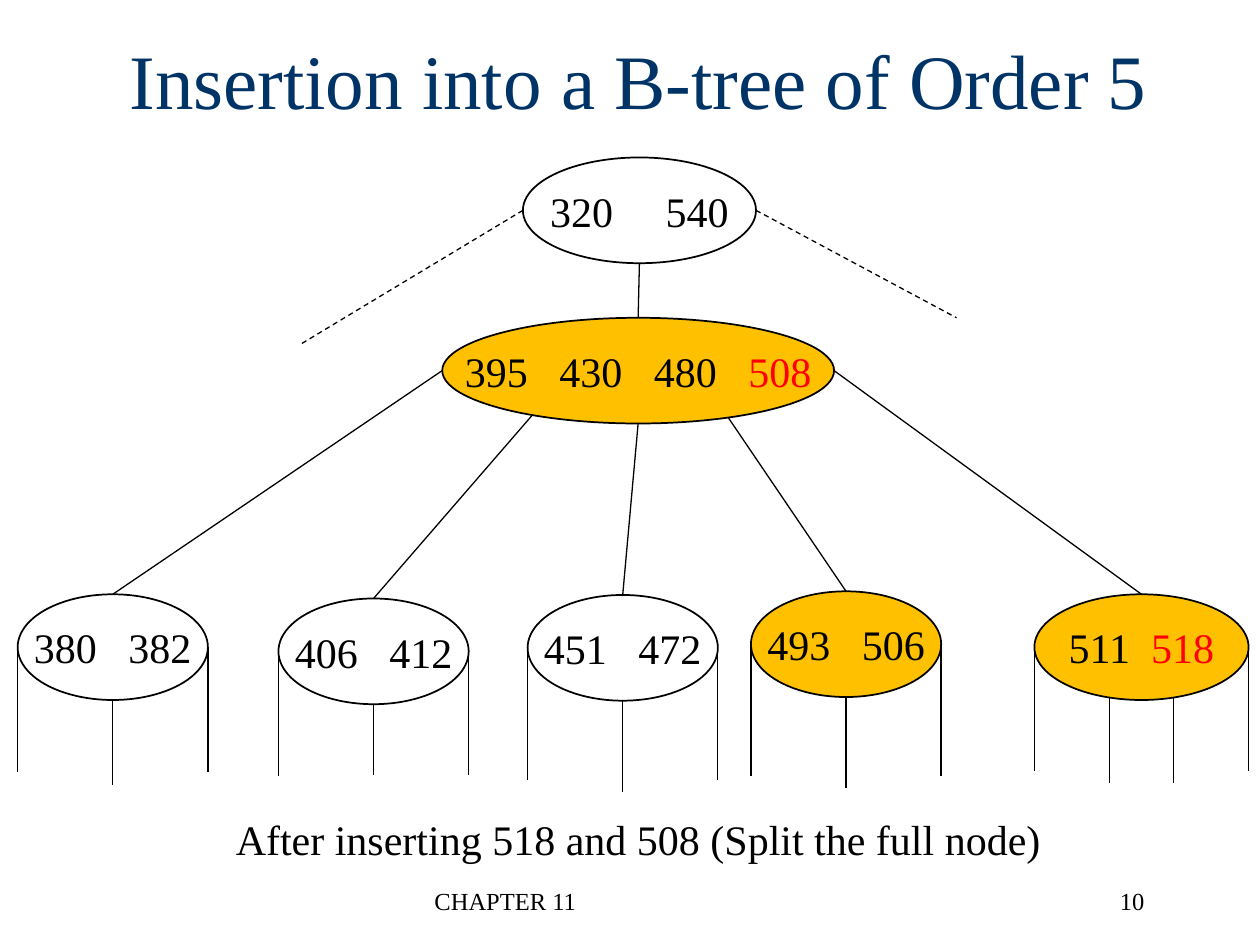
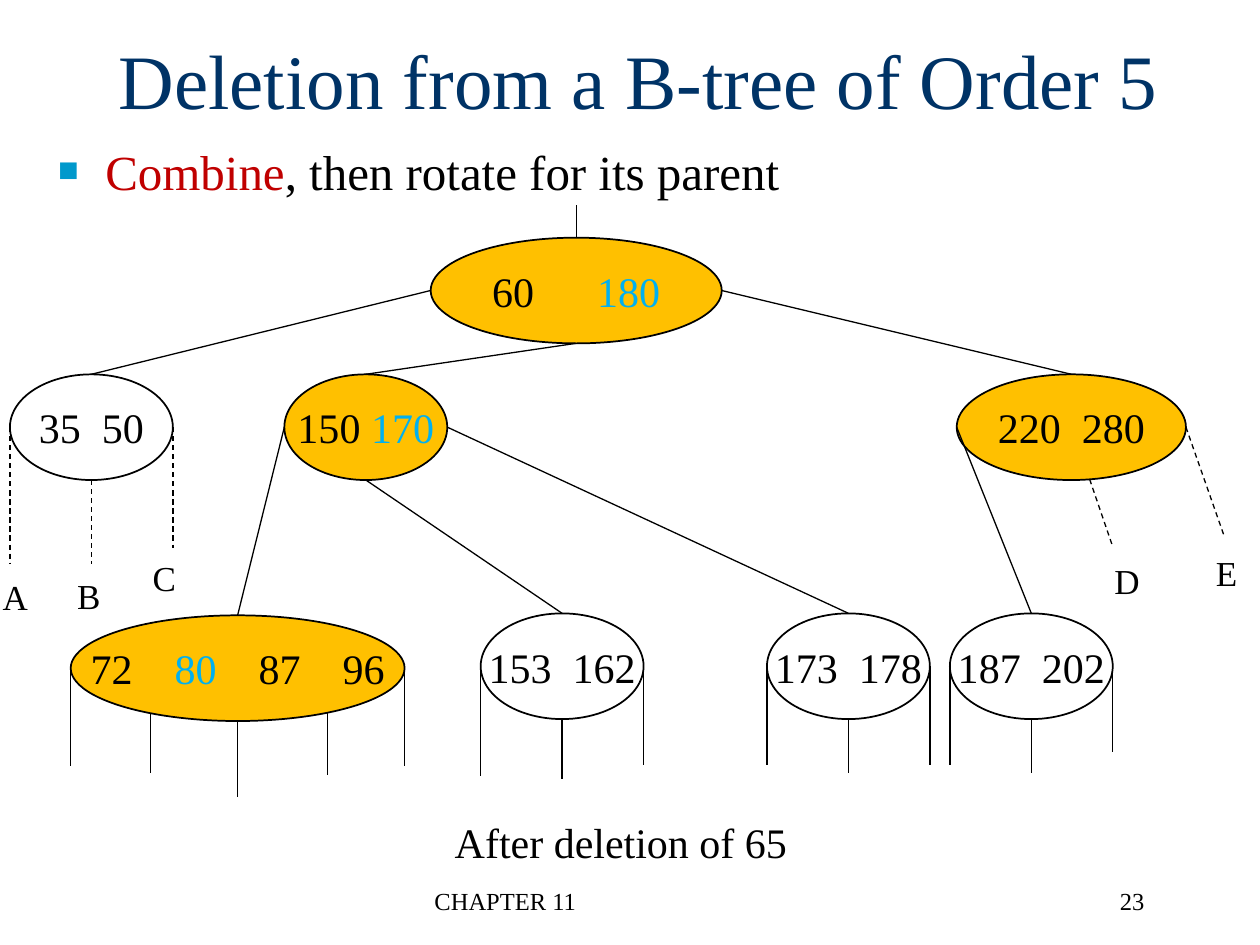
import math
from dataclasses import dataclass, field

import lxml.etree
import pptx
import pptx.dml.color
import pptx.enum.dml
import pptx.enum.shapes
import pptx.enum.text
import pptx.oxml.ns
import pptx.util

Pt = pptx.util.Pt
qn = pptx.oxml.ns.qn
PP_ALIGN = pptx.enum.text.PP_ALIGN
ANCHOR = pptx.enum.text.MSO_ANCHOR

FONT = "Times New Roman"
COLORS = {
    "title": "003366",
    "ink": "000000",
    "paper": "FFFFFF",
    "changed": "FFC000",
    "inserted": "FF0000",
    "moved": "00B0F0",
    "accent": "C00000",
    "bullet": "0099CC",
}
NODE_H = 60.4
KEY_SIZE = 24
SPACE_W = 6
STUB_SPREAD = {
    3: (0, 0.5, 1),
    4: (0, 0.35, 0.65, 1),
    5: (0, 0.24, 0.5, 0.77, 1),
}


@dataclass
class Node:
    keys: str
    x: float
    y: float
    w: float
    gap: float = 18
    fill: str = "paper"
    marked: dict = field(default_factory=dict)
    stubs: tuple = ()
    dash: bool = False

    @property
    def name(self) -> str:
        return self.keys.split()[0]

    def rim(self, share: float) -> tuple:
        drop = math.sqrt(1 - (2 * share - 1) ** 2)
        return self.x + share * self.w, self.y + NODE_H / 2 * (1 + drop)

    @property
    def top(self) -> tuple:
        return self.x + self.w / 2, self.y


@dataclass
class Edge:
    parent: str
    share: float
    child: str


@dataclass
class LooseEnd:
    parent: str
    share: float
    x: float
    y: float


@dataclass
class Label:
    text: str
    x: float
    y: float
    w: float
    h: float = 36
    size: float = 24
    align: PP_ALIGN = PP_ALIGN.CENTER


def rgb(name: str):
    return pptx.dml.color.RGBColor.from_string(COLORS[name])


def add_run(p, text: str, size: float, color: str = "ink"):
    r = p.add_run()
    r.text = text
    r.font.size = Pt(size)
    r.font.name = FONT
    r.font.color.rgb = rgb(color)
    return r


def place(sp, x: float, y: float, w: float, h: float) -> None:
    sp.left, sp.top, sp.width, sp.height = Pt(x), Pt(y), Pt(w), Pt(h)


def add_label(s, label: Label) -> None:
    sp = s.shapes.add_textbox(Pt(label.x), Pt(label.y), Pt(label.w), Pt(label.h))
    sp.text_frame.word_wrap = True
    p = sp.text_frame.paragraphs[0]
    p.alignment = label.align
    add_run(p, label.text, label.size)


def add_slide(prs, layout: int, title: str, number: str):
    s = prs.slides.add_slide(prs.slide_layouts[layout])
    sp = s.shapes.title
    place(sp, 46, 0, 638, 90)
    tf = sp.text_frame
    tf.auto_size = pptx.enum.text.MSO_AUTO_SIZE.NONE
    tf.vertical_anchor = ANCHOR.MIDDLE
    p = tf.paragraphs[0]
    p.alignment = PP_ALIGN.CENTER
    add_run(p, title, 44, "title")
    add_label(s, Label("CHAPTER 11", 241.2, 502.6, 228.2, size=14, align=PP_ALIGN.LEFT))
    add_label(s, Label(number, 511.2, 502.6, 149.8, size=14, align=PP_ALIGN.RIGHT))
    return s


def add_line(s, start: tuple, end: tuple, dash: bool = False):
    points = [Pt(v) for v in (*start, *end)]
    sp = s.shapes.add_connector(pptx.enum.shapes.MSO_CONNECTOR.STRAIGHT, *points)
    sp.line.color.rgb = rgb("ink")
    sp.line.width = Pt(0.75)
    if dash:
        sp.line.dash_style = pptx.enum.dml.MSO_LINE.DASH
    lxml.etree.SubElement(sp._element.spPr, qn("a:effectLst"))
    return sp


def add_node(s, node: Node):
    sp = s.shapes.add_shape(
        pptx.enum.shapes.MSO_SHAPE.OVAL, Pt(node.x), Pt(node.y), Pt(node.w), Pt(NODE_H)
    )
    sp.shadow.inherit = False
    sp.fill.solid()
    sp.fill.fore_color.rgb = rgb(node.fill)
    sp.line.color.rgb = rgb("ink")
    sp.line.width = Pt(1)
    tf = sp.text_frame
    tf.word_wrap = False
    tf.vertical_anchor = ANCHOR.MIDDLE
    p = tf.paragraphs[0]
    p.alignment = PP_ALIGN.CENTER
    for i, key in enumerate(node.keys.split()):
        if i:
            r = add_run(p, " ", KEY_SIZE)
            r.font._element.set("spc", str(round((node.gap - SPACE_W) * 100)))
        add_run(p, key, KEY_SIZE, node.marked.get(key, "ink"))
    for share, bottom in zip(STUB_SPREAD.get(len(node.stubs), ()), node.stubs):
        x, y = node.rim(share)
        add_line(s, (x, y), (x, bottom), node.dash)
    return sp


def add_tree(s, nodes: list, edges: list, loose_ends: list) -> dict:
    by_name = {node.name: node for node in nodes}
    shapes = {node.name: add_node(s, node) for node in nodes}
    for edge in edges:
        start = by_name[edge.parent].rim(edge.share)
        line = add_line(s, start, by_name[edge.child].top)
        line.end_connect(shapes[edge.child], 0)
    for end in loose_ends:
        add_line(s, by_name[end.parent].rim(end.share), (end.x, end.y), True)
    return shapes


def add_bullet(s) -> None:
    sp = s.placeholders[1]
    place(sp, 26, 77, 677.5, 410.4)
    p = sp.text_frame.paragraphs[0]
    pPr = p._p.get_or_add_pPr()
    pPr.set("marL", str(Pt(27)))
    pPr.set("indent", str(-Pt(27)))
    color = lxml.etree.SubElement(pPr, qn("a:buClr"))
    lxml.etree.SubElement(color, qn("a:srgbClr"), val=COLORS["bullet"])
    lxml.etree.SubElement(pPr, qn("a:buSzPct"), val="70000")
    lxml.etree.SubElement(pPr, qn("a:buFont"), typeface=FONT)
    lxml.etree.SubElement(pPr, qn("a:buChar"), char="■")
    add_run(p, "Combine", 28, "accent")
    add_run(p, ", then rotate for its parent", 28)


def build_insertion(prs) -> None:
    s = add_slide(prs, 5, "Insertion into a B-tree of Order 5", "10")
    leaf_w = 108.7
    nodes = [
        Node("320 540", 298.8, 90, 133.2, gap=30),
        Node("395 430 480 508", 252.7, 181.6, 223.9, fill="changed",
             marked={"508": "inserted"}),
        Node("380 382", 10.1, 339.6, leaf_w, stubs=(441.4, 448.4, 441.4)),
        Node("406 412", 159.1, 342, leaf_w, stubs=(443.5, 442.8, 442.8)),
        Node("451 472", 301.5, 340, leaf_w, stubs=(445.7, 452.7, 445.7)),
        Node("493 506", 429.1, 337.9, leaf_w, fill="changed", stubs=(443.5, 450.5, 443.5)),
        Node("511 518", 591.1, 339.6, 122.4, gap=12, fill="changed",
             marked={"518": "inserted"}, stubs=(440.6, 447.6, 447.6, 440.6)),
    ]
    edges = [Edge("320", 0.5, "395")]
    children = ("380", "406", "451", "493", "511")
    for share, child in zip((0, 0.23, 0.5, 0.73, 1), children):
        edges.append(Edge("395", share, child))
    loose_ends = [LooseEnd("320", 0, 172.3, 196.4), LooseEnd("320", 1, 546.6, 181.6)]
    add_tree(s, nodes, edges, loose_ends)
    add_label(s, Label("After inserting 518 and 508 (Split the full node)", 125.3, 461.5, 478.8))


def build_deletion(prs) -> None:
    s = add_slide(prs, 1, "Deletion from a B-tree of Order 5", "23")
    add_bullet(s)
    pair_w, child_y, leaf_y = 93.1, 213.9, 350.5
    root = Node("60 180", 246.1, 135.8, 166.3, gap=36, fill="changed",
                marked={"180": "moved"})
    nodes = [
        root,
        Node("35 50", 5.7, child_y, pair_w, gap=12, stubs=(322.4, 322.4, 313), dash=True),
        Node("150 170", 162.5, child_y, pair_w, gap=SPACE_W, fill="changed",
             marked={"170": "moved"}),
        Node("220 280", 546.7, child_y, 131, gap=12, fill="changed"),
        Node("72 80 87 96", 40.4, 351.6, 190.8, gap=24, fill="changed",
             marked={"80": "moved"}, stubs=(437.7, 442, 455.2, 442.6, 437.7)),
        Node("153 162", 274.7, leaf_y, pair_w, gap=12, stubs=(443.6, 445.4, 437)),
        Node("173 178", 438.3, leaf_y, pair_w, gap=12, stubs=(437, 442, 437)),
        Node("187 202", 542.8, leaf_y, pair_w, gap=12, stubs=(437, 442, 429.6)),
    ]
    edges = [
        Edge("60", 0, "35"),
        Edge("60", 0.5, "150"),
        Edge("60", 1, "220"),
        Edge("150", 0, "72"),
        Edge("150", 0.5, "153"),
        Edge("150", 1, "173"),
        Edge("220", 0, "187"),
    ]
    loose_ends = [LooseEnd("220", 0.58, 635.8, 312.2), LooseEnd("220", 1, 699.2, 305.4)]
    shapes = add_tree(s, nodes, edges, loose_ends)
    stem = add_line(s, (root.top[0], 117.4), root.top)
    stem.end_connect(shapes["60"], 0)
    add_label(s, Label("After deletion of 65", 251.9, 463, 205.9))
    subtrees = (("A", -6, 325.4), ("B", 36, 324.7), ("C", 79.2, 314.6),
                ("D", 629.2, 316.1), ("E", 686.2, 311.8))
    for name, x, y in subtrees:
        add_label(s, Label(name, x, y, 29.5, 31.7, size=20))


def main() -> None:
    prs = pptx.Presentation()
    prs.slide_width, prs.slide_height = Pt(720), Pt(540)
    build_insertion(prs)
    build_deletion(prs)
    prs.save("out.pptx")


if __name__ == "__main__":
    main()
